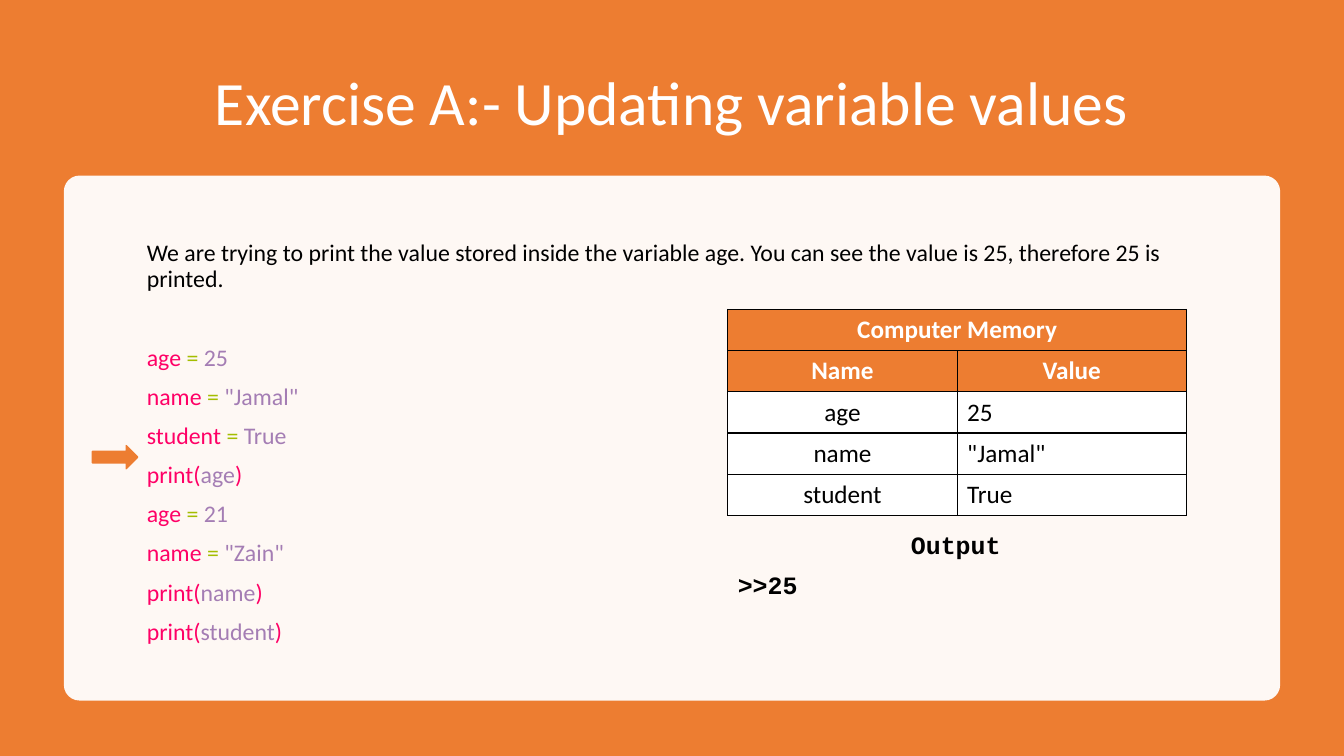
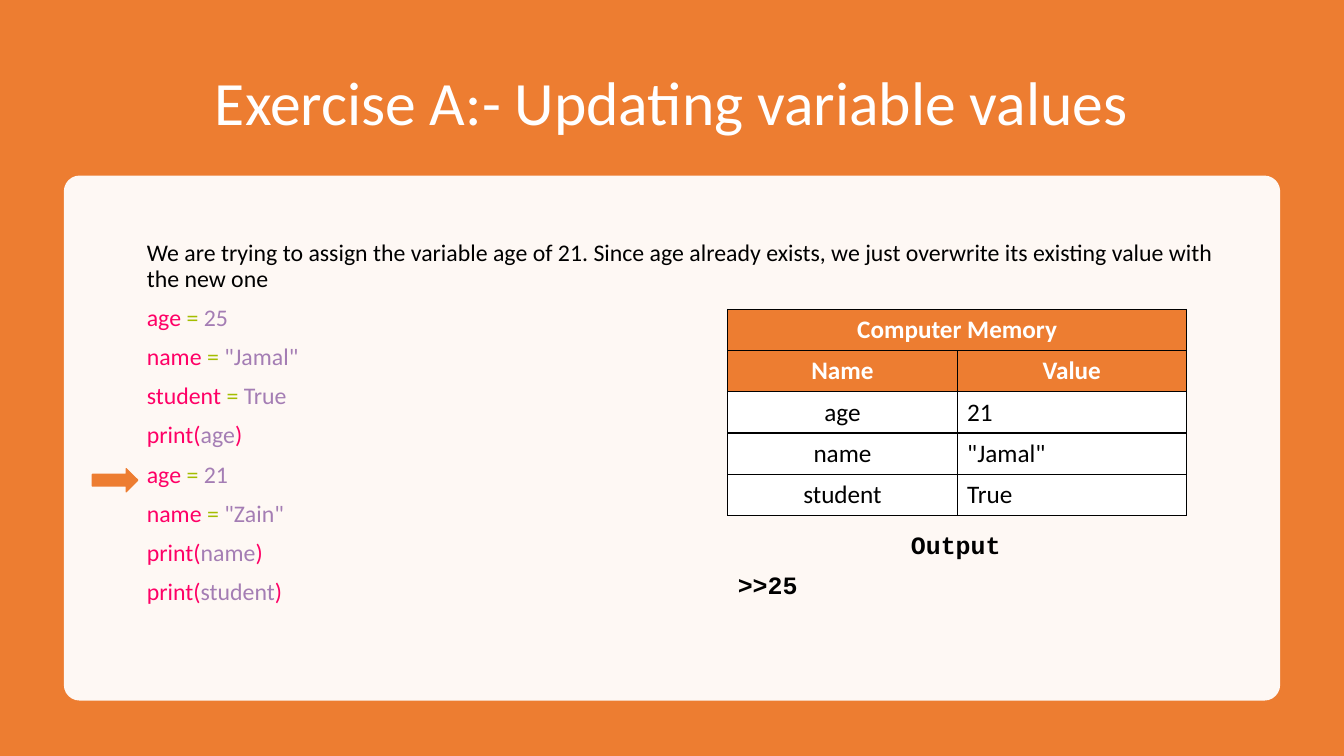
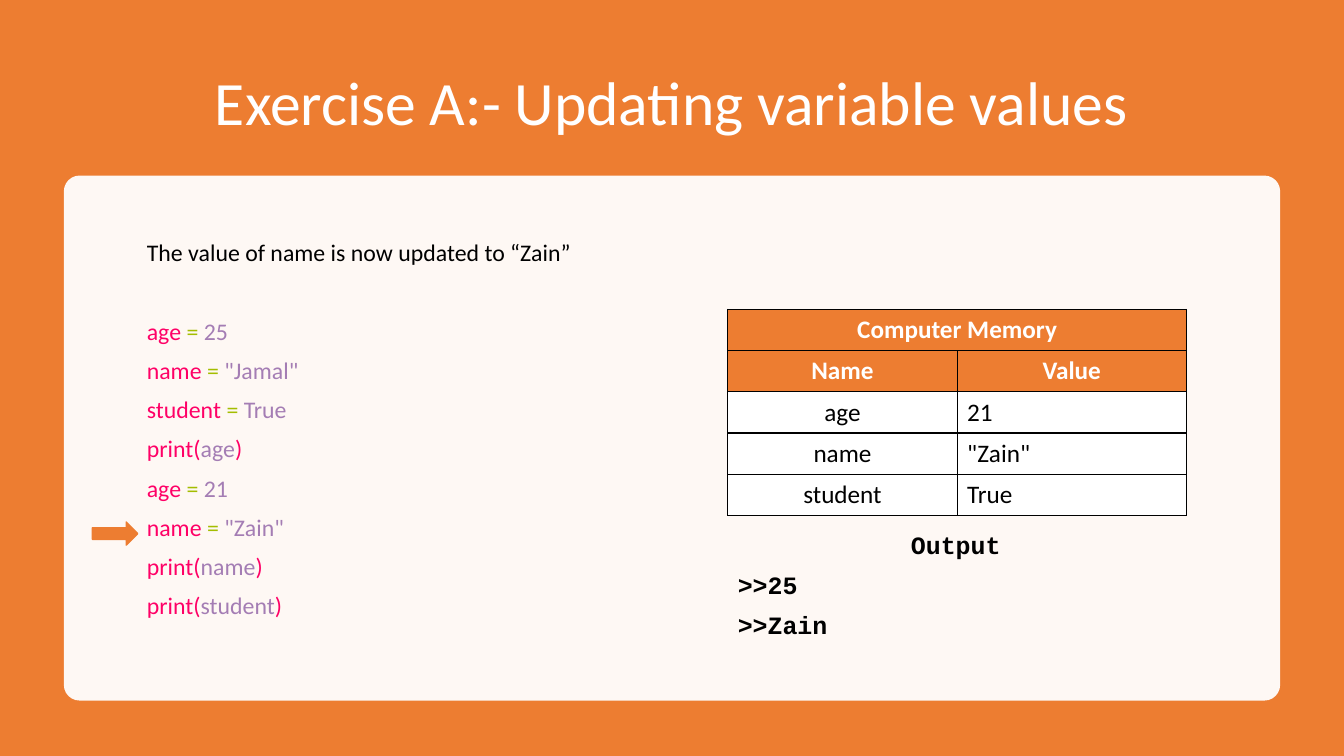
from dataclasses import dataclass

from lxml.etree import SubElement
from pptx import Presentation
from pptx.dml.color import RGBColor
from pptx.enum.shapes import MSO_SHAPE as Shape
from pptx.enum.text import MSO_ANCHOR as Anchor, MSO_AUTO_SIZE as Fit, PP_ALIGN as Align
from pptx.oxml import parse_xml
from pptx.oxml.ns import nsdecls, qn
from pptx.util import Inches, Pt

# Grid: 32 columns by 18 rows of square units
COLS, ROWS = 32, 18
UNIT = Inches(7.5) / ROWS

# Colours and fonts
ORANGE, WHITE, BLACK = "ED7D31", "FFFFFF", "000000"
PINK, LIME, LILAC = "FF0066", "A4BD00", "A47DB4"
SANS, MONO = "Calibri", "Courier New"

TITLE = "Exercise A:- Updating variable values"
CODE = ["age = 25", 'name = "Jamal"', "student = True", "print(age)",
        "age = 21", 'name = "Zain"', "print(name)", "print(student)"]
GAP = 9.6       # points between code lines
BREAK = 37.9    # points between the note and the code when set apart


@dataclass
class Step:
    note: str
    apart: bool
    row: float      # top of the arrow
    age: str
    name: str
    out: list[str]


@dataclass
class Para:
    runs: list[tuple[str, str]]
    align: Align = Align.LEFT
    before: float = 0
    after: float = 0


STEPS = [
    Step("We are trying to print the value stored inside the variable age. "
         "You can see the value is 25, therefore 25 is printed.",
         True, 10.61, "25", '"Jamal"', [">>25"]),
    Step("We are trying to assign the variable age of 21. Since age already exists, "
         "we just overwrite its existing value with the new one",
         False, 11.16, "21", '"Jamal"', [">>25"]),
    Step("The value of name is now updated to “Zain”",
         True, 12.43, "21", '"Zain"', [">>25", ">>Zain"]),
]


def rgb(code: str) -> RGBColor:
    return RGBColor.from_string(code)


def grid(*units: float) -> list[int]:
    return [round(unit * UNIT) for unit in units]


def paint(item, code: str) -> None:
    item.fill.solid()
    item.fill.fore_color.rgb = rgb(code)


def write(frame, paras: list[Para], size: float = 18, font: str = SANS,
          bold: bool = False, lead: float = 1.0) -> None:
    for i, para in enumerate(paras):
        line = frame.add_paragraph() if i else frame.paragraphs[0]
        line.alignment, line.line_spacing = para.align, lead
        line.space_before, line.space_after = Pt(para.before), Pt(para.after)
        for text, code in para.runs:
            run = line.add_run()
            run.text = text
            run.font.size, run.font.name, run.font.bold = Pt(size), font, bold
            run.font.color.rgb = rgb(code)


def add_box(slide, *units: float):
    frame = slide.shapes.add_textbox(*grid(*units)).text_frame
    frame.word_wrap = True
    return frame


def add_form(slide, kind: Shape, code: str, *units: float):
    form = slide.shapes.add_shape(kind, *grid(*units))
    form.shadow.inherit = False
    paint(form, code)
    form.line.fill.background()
    return form


def tint(line: str) -> list[tuple[str, str]]:
    """Split a line of code into coloured runs."""
    if " = " in line:
        name, value = line.split(" = ")
        return [(name + " ", PINK), ("= ", LIME), (value, LILAC)]
    return [("print(", PINK), (line[6:-1], LILAC), (")", PINK)]


def edge(cell) -> None:
    props = cell._tc.get_or_add_tcPr()
    for i, side in enumerate("LRTB"):
        rule = parse_xml(f'<a:ln{side} {nsdecls("a")} w="12700"><a:solidFill>'
                         f'<a:srgbClr val="{BLACK}"/></a:solidFill></a:ln{side}>')
        props.insert(i, rule)


def add_memory(slide, step: Step) -> None:
    rows = [("Computer Memory", ""), ("Name", "Value"),
            ("age", step.age), ("name", step.name), ("student", "True")]
    high = 0.98
    table = slide.shapes.add_table(
        len(rows), 2, *grid(17.33, 7.37, 10.92, high * len(rows))).table
    table.cell(0, 0).merge(table.cell(0, 1))
    for r, row in enumerate(rows):
        head = r < 2
        for c, text in enumerate(row):
            cell = table.cell(r, c)
            paint(cell, ORANGE if head else WHITE)
            edge(cell)
            cell.vertical_anchor = Anchor.MIDDLE
            if text:
                align = Align.CENTER if head or c == 0 else Align.LEFT
                write(cell.text_frame, [Para([(text, WHITE if head else BLACK)], align)],
                      bold=head)


def add_title(slide) -> None:
    title = slide.shapes.title
    title.left, title.top, title.width, title.height = grid(2.2, 1.2, 27.6, 2.64)
    frame = title.text_frame
    frame.auto_size, frame.vertical_anchor = Fit.NONE, Anchor.MIDDLE
    write(frame, [Para([(TITLE, WHITE)], Align.CENTER)], size=44, lead=0.9)


def add_step(deck, step: Step) -> None:
    slide = deck.slides.add_slide(deck.slide_layouts[5])
    add_title(slide)

    # Panel
    panel = add_form(slide, Shape.ROUNDED_RECTANGLE, WHITE, 1.52, 4.18, 28.96, 12.5)
    panel.adjustments[0] = 0.03
    shade = panel._element.spPr.find(qn("a:solidFill"))[0]
    SubElement(shade, qn("a:alpha")).set("val", "95000")

    # Note and code
    paras = [Para([(step.note, BLACK)])]
    paras += [Para(tint(line), before=GAP) for line in CODE]
    if step.apart:
        paras[1].before = BREAK
    write(add_box(slide, 3.26, 5.62, 26.52, 9.65), paras, size=17, lead=0.9)

    add_memory(slide, step)

    # Arrow at the current line
    arrow = add_form(slide, Shape.RIGHT_ARROW, ORANGE, 2.2, step.row, 1.08, 0.55)
    arrow.line.color.rgb = rgb(ORANGE)
    arrow.line.width = Pt(1)

    # Output
    frame = add_box(slide, 17.33, 12.43, 10.85, 0.93 * (1 + len(step.out)))
    frame.auto_size = Fit.SHAPE_TO_FIT_TEXT
    lines = [Para([("Output", BLACK)], Align.CENTER, after=6)]
    lines += [Para([(text, BLACK)], after=6) for text in step.out]
    write(frame, lines, size=17.8, font=MONO, bold=True, lead=1.07)


def main() -> None:
    deck = Presentation()
    deck.slide_width, deck.slide_height = grid(COLS, ROWS)
    paint(deck.slide_master.background, ORANGE)
    for step in STEPS:
        add_step(deck, step)
    deck.save("out.pptx")


if __name__ == "__main__":
    main()
